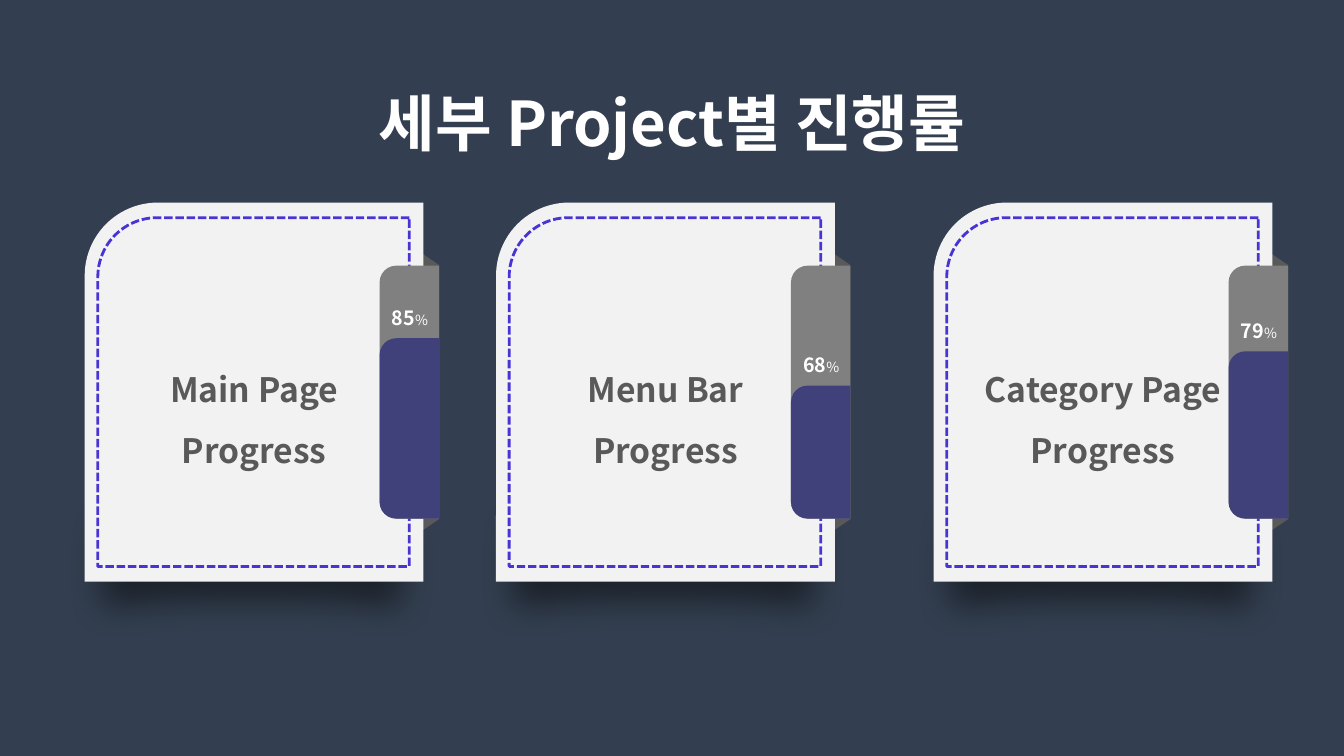
import pptx
import pptx.util
import pptx.dml.color
import pptx.enum.dml
import pptx.enum.shapes
import pptx.enum.text
import pptx.oxml
import pptx.oxml.ns

Inches = pptx.util.Inches
SHAPE = pptx.enum.shapes.MSO_SHAPE
ANCHOR = pptx.enum.text.MSO_ANCHOR
FONT = "Noto Sans CJK KR"
NAMESPACE = pptx.oxml.ns.nsdecls("a")

CARD_TOP, CARD_WIDTH, CARD_HEIGHT = 2.01, 3.36, 3.76
TAB_LENGTH, TAB_WIDTH = 2.51, 0.59

# card left, name, percent, length of the filled part of the tab
CARDS = [
    (0.84, "Main Page", "85", 1.79),
    (4.92, "Menu Bar", "68", 1.32),
    (9.26, "Category Page", "79", 1.66),
]


def color(value):
    return pptx.dml.color.RGBColor.from_string(value)


def add_xml(parent, markup):
    element = pptx.oxml.parse_xml(markup)
    parent.append(element)
    return element


def add_shape(page, kind, box, fill=None, adjustments=(), rotation=0, flip=None):
    shape = page.shapes.add_shape(kind, *[Inches(length) for length in box])
    shape.shadow.inherit = False
    shape.rotation = rotation
    shape.line.fill.background()
    if fill:
        shape.fill.solid()
        shape.fill.fore_color.rgb = color(fill)
    else:
        shape.fill.background()
    for index, value in enumerate(adjustments):
        shape.adjustments[index] = value
    if flip:
        shape._element.spPr.xfrm.set(flip, "1")
    return shape


def add_upright(page, kind, center, length, thickness, fill, adjustments=(), rotation=270, flip=None):
    """Place a shape turned on its side around the given center."""
    box = (center[0] - length / 2, center[1] - thickness / 2, length, thickness)
    return add_shape(page, kind, box, fill, adjustments, rotation, flip)


def write_text(shape, paragraphs, spacing=None, **frame_format):
    """Fill a shape with paragraphs, each a list of (text, font format)."""
    frame = shape.text_frame
    for name, value in {"word_wrap": True, **frame_format}.items():
        setattr(frame, name, value)
    for index, spans in enumerate(paragraphs):
        para = frame.add_paragraph() if index else frame.paragraphs[0]
        para.alignment = pptx.enum.text.PP_ALIGN.CENTER
        para.line_spacing = spacing
        for text, (size, shade, bold) in spans:
            span = para.add_run()
            span.text = text
            span.font.color.rgb = color(shade)
            font_format = {"size": pptx.util.Pt(size), "bold": bold, "name": FONT}
            for name, value in font_format.items():
                setattr(span.font, name, value)
            add_xml(span.font._element, f'<a:ea {NAMESPACE} typeface="{FONT}"/>')


def add_text(page, box, spans, spacing=None):
    text_box = page.shapes.add_textbox(*[Inches(length) for length in box])
    write_text(text_box, [spans], spacing,
               auto_size=pptx.enum.text.MSO_AUTO_SIZE.SHAPE_TO_FIT_TEXT)


def add_shadow(page, left):
    center = (left + 1.65, CARD_TOP + 3.62)
    shadow = add_upright(page, SHAPE.FLOWCHART_STORED_DATA, center, 2.01, 3.67, "000000", rotation=90)
    properties = shadow._element.spPr
    shade = properties.find(".//" + pptx.oxml.ns.qn("a:srgbClr"))
    add_xml(shade, f'<a:alpha {NAMESPACE} val="48000"/>')
    effects = properties.find(pptx.oxml.ns.qn("a:effectLst"))
    add_xml(effects, f'<a:softEdge {NAMESPACE} rad="317500"/>')


def add_panel(page, left, name):
    box = (left, CARD_TOP, CARD_WIDTH, CARD_HEIGHT)
    panel = add_shape(page, SHAPE.ROUND_1_RECTANGLE, box, "F2F2F2", [0.216], flip="flipH")
    label = (24, "595959", True)
    write_text(panel, [[(name, label)], [("Progress", label)]], 1.5,
               vertical_anchor=ANCHOR.MIDDLE,
               margin_left=Inches(0.1), margin_top=Inches(0.39),
               margin_right=Inches(0.31), margin_bottom=Inches(0.05))
    # dashed stitching inside the panel
    box = (left + 0.13, CARD_TOP + 0.15, 3.09, 3.46)
    stitch = add_shape(page, SHAPE.ROUND_1_RECTANGLE, box, None, [0.19], flip="flipH")
    stitch.line.color.rgb = color("4834D4")
    stitch.line.width = pptx.util.Pt(2)
    stitch.line.dash_style = pptx.enum.dml.MSO_LINE.SQUARE_DOT


def add_tab(page, left, percent, filled):
    center_x, center_y = left + 3.22, CARD_TOP + CARD_HEIGHT / 2
    bottom = center_y + TAB_LENGTH / 2
    parts = [(TAB_LENGTH, "808080"), (filled, "40407A")]
    for length, fill in parts:
        add_upright(page, SHAPE.ROUND_2_SAME_RECTANGLE, (center_x, bottom - length / 2),
                    length, TAB_WIDTH, fill, [0.279, 0])
    add_text(page, (left + 2.93, bottom - filled - 0.37, 0.59, 0.34),
             [(percent, (14, "FFFFFF", True)), ("%", (10, "FFFFFF", False))])


def add_card(page, left, name, percent, filled):
    add_shadow(page, left)
    # folded strip behind the tab
    add_upright(page, SHAPE.TRAPEZOID, (left + 3.42, CARD_TOP + CARD_HEIGHT / 2),
                2.78, 0.19, "595959", [0.682], flip="flipV")
    add_panel(page, left, name)
    add_tab(page, left, percent, filled)


def main():
    deck = pptx.Presentation()
    deck.slide_width, deck.slide_height = Inches(13.33), Inches(7.5)
    page = deck.slides.add_slide(deck.slide_layouts[6])
    page.background.fill.solid()
    page.background.fill.fore_color.rgb = color("333F50")
    for card in CARDS:
        add_card(page, *card)
    add_text(page, (2.61, 0.43, 8.11, 1.07),
             [("세부 Project별 진행률", (44, "FFFFFF", True))], 1.5)
    deck.save("out.pptx")


if __name__ == "__main__":
    main()
